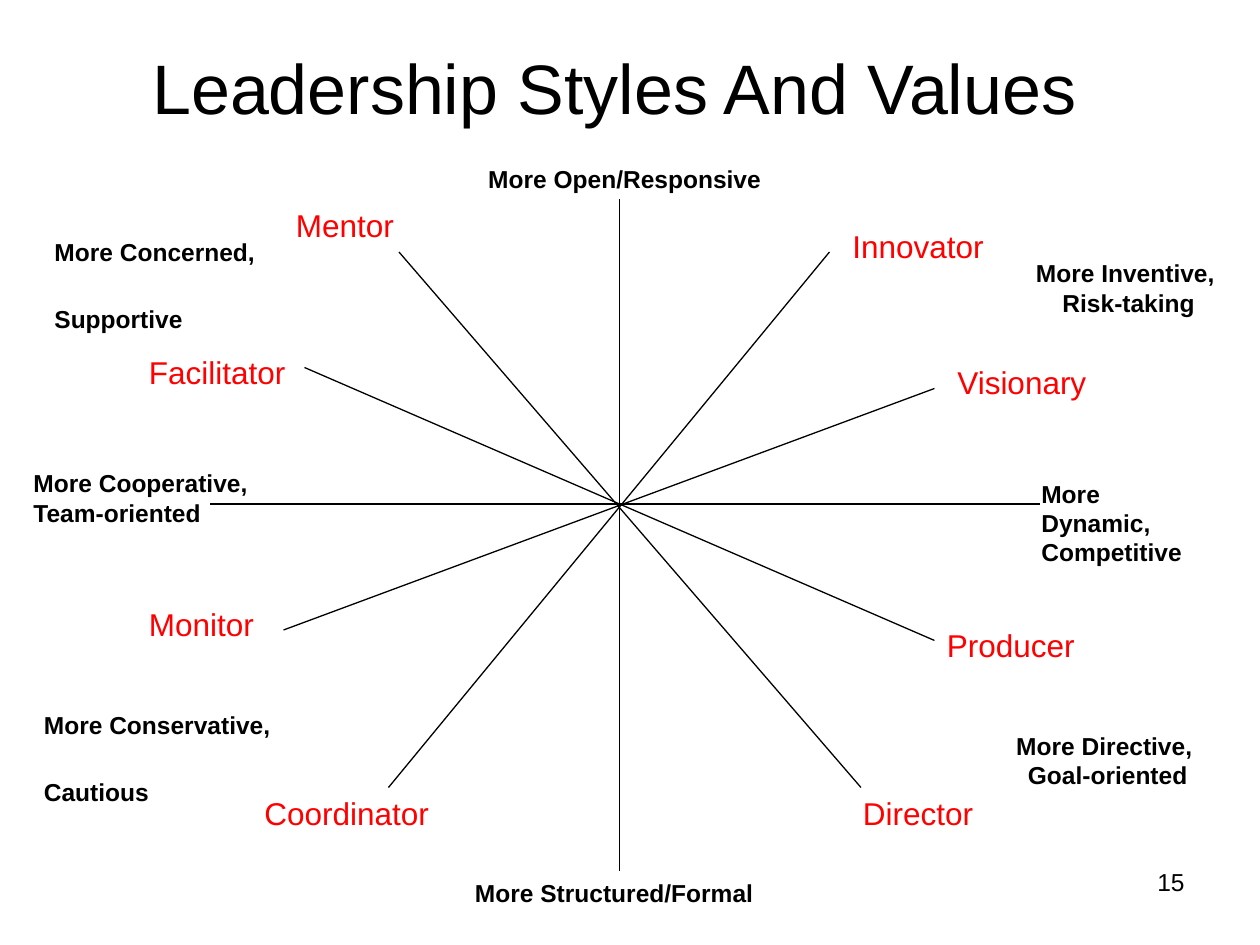
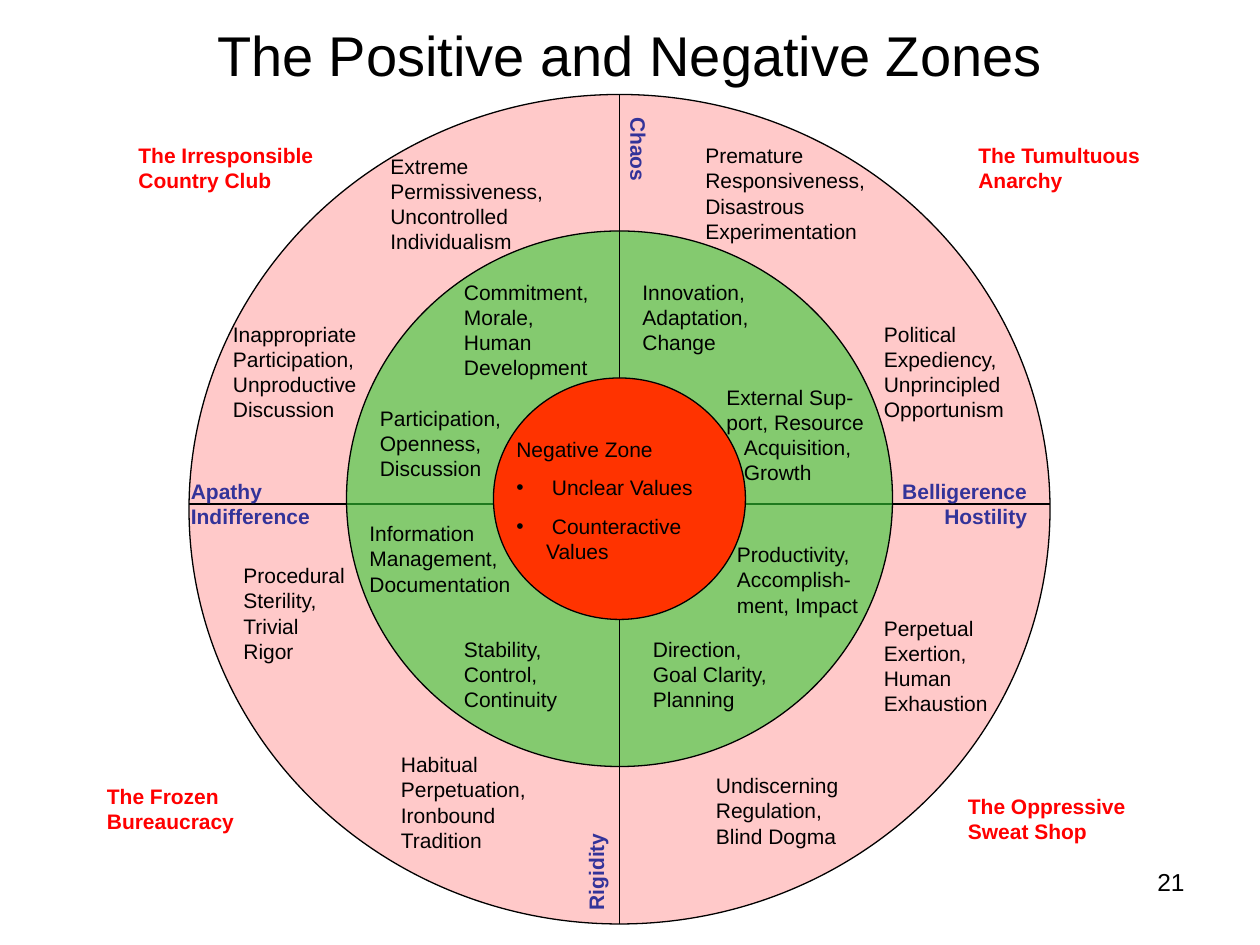
from collections import namedtuple

from lxml import etree
from pptx import Presentation
from pptx.dml.color import RGBColor
from pptx.enum import shapes, text
from pptx.oxml.ns import qn
from pptx.util import Pt

Box = namedtuple("Box", "left top width height")

FONT = "Arial"
BLACK, RED, NAVY, GREEN, ORANGE = "000000", "FF0000", "333399", "33CC33", "FF3300"
LEFT, CENTER, RIGHT = text.PP_ALIGN.LEFT, text.PP_ALIGN.CENTER, text.PP_ALIGN.RIGHT
PAGE_NUMBER = Box(516, 492, 168, 37.5)

VALUES = [
    (258, 0, 174, 1, CENTER, "More Open/Responsive"),
    (252, 408, 174, 1, CENTER, "More Structured/Formal"),
    (558, 54, 150, 2, CENTER, "More Inventive, \nRisk-taking"),
    (546, 324, 150, 2, CENTER, "More Directive, \nGoal-oriented"),
    (0, 174, 162, 2, LEFT, "More Cooperative, \nTeam-oriented"),
    (576, 180, 114, 3, LEFT, "More Dynamic, \nCompetitive"),
    (12, 42, 132, 3, LEFT, "More Concerned, \nSupportive"),
    (6, 312, 144, 3, LEFT, "More Conservative, \nCautious"),
]
STYLES = [
    (468, 36, 102, "Innovator"),
    (528, 114, 102, "Visionary"),
    (132, 360, 114, "Coordinator"),
    (66, 252, 78, "Monitor"),
    (522, 264, 102, "Producer"),
    (474, 360, 102, "Director"),
    (150, 24, 102, "Mentor"),
    (66, 108, 102, "Facilitator"),
]
AXES = [(342, 24, 342, 408), (108, 198, 582, 198)]
SPOKES = [
    (462, 54, 210, 360),
    (522, 132, 150, 270),
    (522, 276, 162, 120),
    (480, 360, 216, 54),
]

POSITIVE_TRAITS = [
    (258, 306, 90, 3, "Direction,\nGoal Clarity,\nPlanning"),
    (306, 252, 108, 3, "Productivity,\nAccomplish-\nment, Impact"),
    (150, 306, 90, 3, "Stability,\nControl,\nContinuity"),
    (96, 240, 96, 3, "Information\nManagement,\nDocumentation"),
    (252, 102, 96, 3, "Innovation,\nAdaptation,\nChange"),
    (102, 174, 84, 3, "Participation,\nOpenness,\nDiscussion"),
    (150, 102, 90, 4, "Commitment, Morale, Human Development"),
]
NEGATIVE_TRAITS = [
    (114, 372, 90, 4, "Habitual\nPerpetuation,\nIronbound\nTradition"),
    (24, 264, 84, 4, "Procedural\nSterility,\nTrivial\nRigor"),
    (18, 126, 96, 4, "Inappropriate\nParticipation,\nUnproductive\nDiscussion"),
    (108, 30, 102, 4, "Extreme\nPermissiveness, Uncontrolled Individualism"),
    (288, 24, 108, 4, "Premature\nResponsiveness,\nDisastrous\nExperimentation"),
    (390, 126, 90, 4, "Political Expediency, Unprincipled Opportunism"),
    (390, 294, 78, 4, "Perpetual Exertion, Human Exhaustion"),
    (294, 384, 90, 3, "Undiscerning Regulation, Blind Dogma"),
]
CORNERS = [
    (-54, 390, 96, "The Frozen Bureaucracy"),
    (-36, 24, 120, "The Irresponsible Country Club"),
    (438, 396, 120, "The Oppressive Sweat Shop"),
    (444, 24, 120, "The Tumultuous Anarchy"),
]
EXTREMES = [
    (-6, 216, 84, 2, LEFT, 0, "Apathy\nIndifference"),
    (396, 216, 90, 2, RIGHT, 0, "Belligerence\nHostility"),
    (200, 430, 65, 1, LEFT, 270, "Rigidity"),
    (227, 25, 60, 1, LEFT, 90, "Chaos"),
]


def rgb(code):
    """Turn a hex string into a colour."""
    return RGBColor.from_string(code)


def write(paragraph, words, size, color=BLACK, bold=False, align=LEFT):
    """Write words into a paragraph, with a line break at each newline."""
    paragraph.alignment = align
    for number, line in enumerate(words.split("\n")):
        if number:
            paragraph.add_line_break()
        run = paragraph.add_run()
        run.text = line
        run.font.name, run.font.size, run.font.bold = FONT, Pt(size), bold
        run.font.color.rgb = rgb(color)


def add_label(slide, box, left, top, width, rows, words, size=12, **look):
    """Place a label that grows with its text and return its text box."""
    label = slide.shapes.add_textbox(
        Pt(box.left + left), Pt(box.top + top), Pt(width), Pt(7.2 + rows * size * 1.2))
    frame = label.text_frame
    frame.word_wrap = True
    frame.auto_size = text.MSO_AUTO_SIZE.SHAPE_TO_FIT_TEXT
    write(frame.paragraphs[0], words, size, **look)
    return label


def add_line(slide, box, x1, y1, x2, y2):
    """Draw a thin black line inside the box."""
    line = slide.shapes.add_connector(
        shapes.MSO_CONNECTOR.STRAIGHT,
        Pt(box.left + x1), Pt(box.top + y1), Pt(box.left + x2), Pt(box.top + y2))
    line.line.color.rgb = rgb(BLACK)
    line.line.width = Pt(0.75)
    etree.SubElement(line._element.spPr, qn("a:effectLst"))


def add_ring(slide, box, ring, color, opacity=100):
    """Draw an outlined disc inside the box."""
    disc = slide.shapes.add_shape(
        shapes.MSO_SHAPE.OVAL, Pt(box.left + ring.left), Pt(box.top + ring.top),
        Pt(ring.width), Pt(ring.height))
    disc.shadow.inherit = False
    disc.fill.solid()
    disc.fill.fore_color.rgb = rgb(color)
    disc.line.color.rgb = rgb(BLACK)
    disc.line.width = Pt(0.75)
    if opacity < 100:
        tint = disc._element.spPr.find(qn("a:solidFill"))[0]
        etree.SubElement(tint, qn("a:alpha"), val=str(opacity * 1000))


def start_slide(deck, title, box, size, page):
    """Add a slide with its title and page number."""
    slide = deck.slides.add_slide(deck.slide_layouts[5])
    heading = slide.shapes.title
    heading.left, heading.top, heading.width, heading.height = map(Pt, box)
    frame = heading.text_frame
    frame.auto_size = text.MSO_AUTO_SIZE.NONE
    frame.vertical_anchor = text.MSO_ANCHOR.MIDDLE
    write(frame.paragraphs[0], title, size, align=CENTER)
    number = slide.shapes.add_textbox(*map(Pt, PAGE_NUMBER))
    number.text_frame.word_wrap = True
    write(number.text_frame.paragraphs[0], page, 14, align=RIGHT)
    return slide


def draw_style_wheel(slide, box):
    """Draw the axes and spokes with the values and leadership styles."""
    for ends in AXES + SPOKES:
        add_line(slide, box, *ends)
    for left, top, width, rows, align, words in VALUES:
        add_label(slide, box, left, top, width, rows, words, 14, bold=True, align=align)
    for left, top, width, style in STYLES:
        add_label(slide, box, left, top, width, 1, style, 18, color=RED)


def draw_rings(slide, box):
    """Draw the three zones and the axes crossing them."""
    middle = 246
    add_ring(slide, box, Box(0, 0, box.width, box.height), RED, 21)
    add_line(slide, box, 0, 234, box.width, 234)
    add_ring(slide, box, Box(90, 78, 312, 306), GREEN, 60)
    add_line(slide, box, middle, 0, middle, box.height)
    add_ring(slide, box, Box(174, 162, 144, 138), ORANGE)


def write_core(slide, box):
    """Write the list in the negative zone at the centre."""
    core = add_label(slide, box, 180, 192, 138, 4, "Negative Zone")
    for value in (" Unclear Values", " Counteractive Values"):
        item = core.text_frame.add_paragraph()
        item.space_before = Pt(7.5)
        margins = item._p.get_or_add_pPr()
        margins.set("marL", str(Pt(17)))
        margins.set("indent", str(-Pt(17)))
        etree.SubElement(margins, qn("a:buFont"), typeface=FONT)
        etree.SubElement(margins, qn("a:buChar"), char="•")
        write(item, value, 12)


def write_support(slide, box):
    """Write the external support trait with its indented end."""
    support = add_label(slide, box, 300, 162, 96, 4, "External Sup-\nport, Resource")
    ending = support.text_frame.add_paragraph()
    ending._p.get_or_add_pPr().set("marL", str(Pt(10)))
    write(ending, "Acquisition,\nGrowth", 12)


def draw_zones(slide, box):
    """Draw the zones and every label in and around them."""
    draw_rings(slide, box)
    write_core(slide, box)
    write_support(slide, box)
    for trait in POSITIVE_TRAITS + NEGATIVE_TRAITS:
        add_label(slide, box, *trait)
    for left, top, width, words in CORNERS:
        add_label(slide, box, left, top, width, 2, words, color=RED, bold=True)
    for left, top, width, rows, align, turn, words in EXTREMES:
        extreme = add_label(
            slide, box, left, top, width, rows, words, color=NAVY, bold=True, align=align)
        extreme.rotation = turn


def main():
    """Build and save the two slides."""
    deck = Presentation()
    deck.slide_width, deck.slide_height = Pt(720), Pt(540)
    styles = start_slide(
        deck, "Leadership Styles And Values", Box(18, 21.6, 666, 56), 40, "15")
    draw_style_wheel(styles, Box(12, 90, 708, 432))
    zones = start_slide(
        deck, "The Positive and Negative Zones", Box(36, 12, 648, 38), 32, "21")
    draw_zones(zones, Box(108, 54, 492, 474))
    deck.save("out.pptx")


if __name__ == "__main__":
    main()
